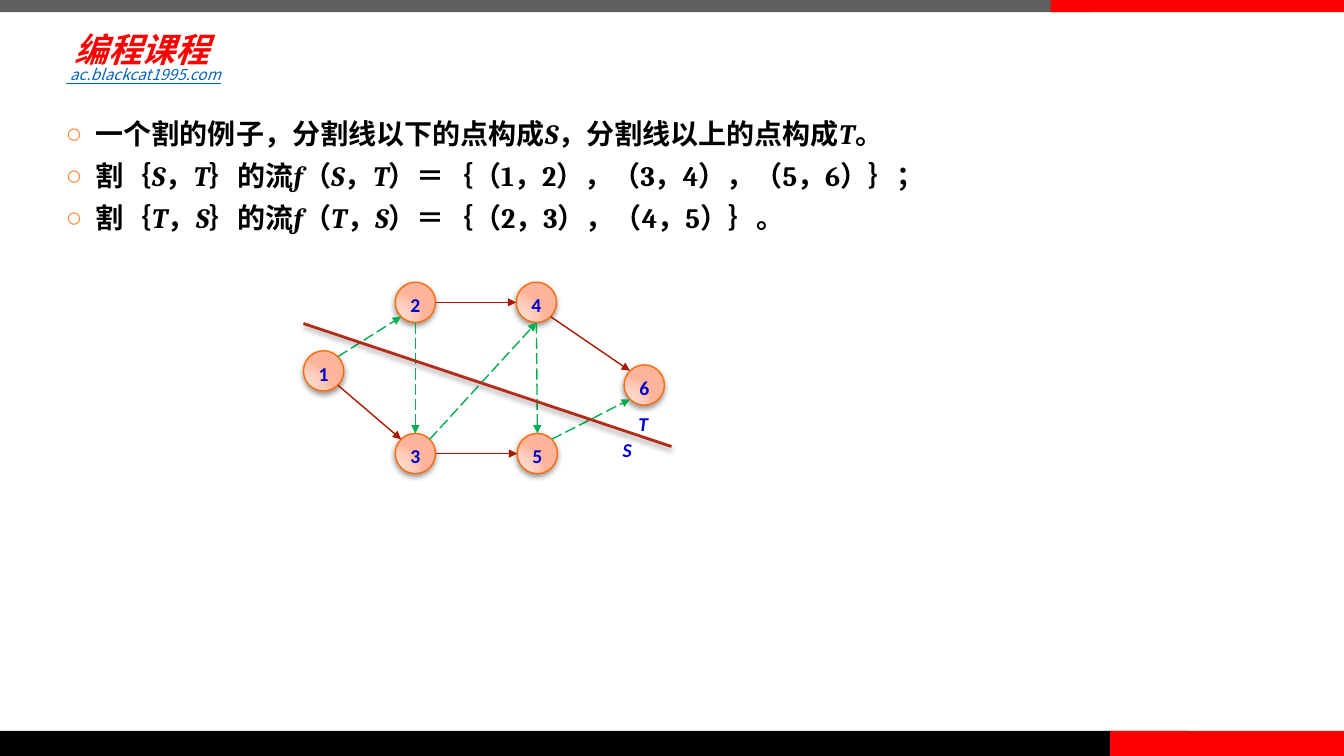
from lxml import etree
from pptx import Presentation, util as u
from pptx.dml.color import RGBColor
from pptx.enum import dml, shapes, text
from pptx.oxml import parse_xml
from pptx.oxml.ns import nsdecls, qn

COLORS = {
    "grey": "5E5E5E", "black": "000000", "red": "FF0000", "link": "0563C1",
    "bullet": "FE8637", "label": "0000CC", "node_line": "FF6B0A",
    "cut_edge": "00B050", "edge": "AC1800", "cut_line": "B32C16",
}
NODE_STOPS = [(0, "FFDED5"), (30, "FFDBD0"), (75, "FFC8B6"), (100, "FFB59B")]
CJK_FONT = "Noto Sans CJK SC"


def rgb(name):
    return RGBColor.from_string(COLORS[name])


def write(paragraph, content, *, size, font, color, bold=False, italic=False,
          underline=False):
    """Add one formatted run to a paragraph."""
    run = paragraph.add_run()
    run.text = content
    style = run.font
    style.size, style.name = u.Pt(size), font
    style.bold, style.italic, style.underline = bold, italic, underline
    style.color.rgb = rgb(color)
    east_asian = etree.SubElement(run._r.get_or_add_rPr(), qn("a:ea"))
    east_asian.set("typeface", CJK_FONT)


def set_effects(item, shadowed=False):
    """Give an element a soft downward shadow, or none at all."""
    shadow = ('<a:outerShdw blurRad="50800" dist="25400" dir="5400000">'
              '<a:srgbClr val="000000"><a:alpha val="40000"/></a:srgbClr>'
              '</a:outerShdw>') if shadowed else ""
    item._element.spPr.append(parse_xml(
        f'<a:effectLst {nsdecls("a")}>{shadow}</a:effectLst>'))


class CutSlide:
    def __init__(self, deck):
        self.slide = deck.slides.add_slide(deck.slide_layouts[1])
        heading = self.slide.shapes.title._element
        heading.getparent().remove(heading)

    def band(self, left, top, width, height, color):
        strip = self.slide.shapes.add_shape(
            shapes.MSO_SHAPE.RECTANGLE, *map(u.Inches, (left, top, width, height)))
        strip.shadow.inherit = False
        strip.fill.solid()
        strip.fill.fore_color.rgb = rgb(color)
        strip.line.fill.background()

    def label(self, content, left, top, width, height, *, inset=None,
              centered=False, middle=False, **style):
        frame = self.slide.shapes.add_textbox(
            *map(u.Inches, (left, top, width, height))).text_frame
        frame.word_wrap = True
        if inset is not None:
            frame.margin_left = frame.margin_right = u.Inches(inset)
            frame.margin_top = frame.margin_bottom = u.Inches(inset)
        if middle:
            frame.vertical_anchor = text.MSO_ANCHOR.MIDDLE
        if centered:
            frame.paragraphs[0].alignment = text.PP_ALIGN.CENTER
        write(frame.paragraphs[0], content, **style)

    def bullets(self, items, left, top, width, height):
        """Fill the body; the letters S, T and f are set in italics."""
        body = self.slide.placeholders[1]
        body.left, body.top, body.width, body.height = map(
            u.Inches, (left, top, width, height))
        frame = body.text_frame
        frame.auto_size = text.MSO_AUTO_SIZE.NONE
        frame.vertical_anchor = text.MSO_ANCHOR.TOP
        for index, parts in enumerate(items):
            paragraph = frame.add_paragraph() if index else frame.paragraphs[0]
            paragraph.space_before = u.Pt(6 if index else 0)
            props = paragraph._p.get_or_add_pPr()
            props.set("marL", str(u.Inches(0.3)))
            props.set("indent", str(-u.Inches(0.3)))
            color = etree.SubElement(props, qn("a:buClr"))
            etree.SubElement(color, qn("a:srgbClr")).set("val", COLORS["bullet"])
            etree.SubElement(props, qn("a:buChar")).set("char", "○")
            for part in parts.split("|"):
                write(paragraph, part, size=20, font="Cambria", color="black",
                      bold=True, italic=part in ("S", "T", "f"))

    def node(self, number, center_x, center_y, radius):
        circle = self.slide.shapes.add_shape(
            shapes.MSO_SHAPE.OVAL, u.Inches(center_x - radius),
            u.Inches(center_y - radius), u.Inches(2 * radius), u.Inches(2 * radius))
        stops = "".join(f'<a:gs pos="{pos * 1000}"><a:srgbClr val="{color}"/></a:gs>'
                        for pos, color in NODE_STOPS)
        circle._element.spPr.find(qn("a:prstGeom")).addnext(parse_xml(
            f'<a:gradFill {nsdecls("a")} rotWithShape="1"><a:gsLst>{stops}</a:gsLst>'
            '<a:path path="circle"><a:fillToRect l="5000" t="100000" r="120000" '
            'b="10000"/></a:path></a:gradFill>'))
        circle.line.color.rgb = rgb("node_line")
        circle.line.width = u.Pt(1)
        set_effects(circle, shadowed=True)
        frame = circle.text_frame
        frame.word_wrap = False
        frame.vertical_anchor = text.MSO_ANCHOR.TOP
        frame.paragraphs[0].alignment = text.PP_ALIGN.CENTER
        write(frame.paragraphs[0], str(number), size=14, font="Calibri",
              color="label", bold=True)

    def line(self, start, end, color, width=1, dashed=False, arrow=True,
             shadowed=False):
        link = self.slide.shapes.add_connector(
            shapes.MSO_CONNECTOR.STRAIGHT, *map(u.Inches, (*start, *end)))
        link.line.color.rgb = rgb(color)
        link.line.width = u.Pt(width)
        if dashed:
            link.line.dash_style = dml.MSO_LINE.LONG_DASH
        if arrow:
            tip = etree.SubElement(link.line._get_or_add_ln(), qn("a:tailEnd"))
            tip.set("type", "triangle")
        set_effects(link, shadowed)


# Graph: node centres, and edges as (from, side, to, side)
RADIUS = 0.2
NODES = {2: (4.12, 3), 4: (5.32, 3), 1: (3.21, 3.68),
         6: (6.39, 3.82), 3: (4.12, 4.5), 5: (5.33, 4.5)}
SIDES = {"N": (0, -1), "S": (0, 1), "E": (1, 0), "W": (-1, 0),
         "NE": (0.71, -0.71), "SE": (0.71, 0.71),
         "NW": (-0.71, -0.71), "SW": (-0.71, 0.71)}
CUT_EDGES = [(1, "NE", 2, "SW"), (2, "S", 3, "N"), (3, "NE", 4, "S"),
             (5, "NE", 6, "SW"), (4, "S", 5, "N")]
INNER_EDGES = [(1, "SE", 3, "NW"), (2, "E", 4, "W"),
               (3, "E", 5, "W"), (4, "SE", 6, "NW")]


def rim(node, side):
    return [center + RADIUS * step for center, step in zip(NODES[node], SIDES[side])]


def main():
    deck = Presentation()
    deck.slide_width, deck.slide_height = u.Inches(13.33), u.Inches(7.5)
    page = CutSlide(deck)

    # Top and bottom bands
    page.band(0, 0, 10.81, 0.12, "grey")
    page.band(0, 7.25, 11.8, 0.25, "black")
    page.band(11.01, 7.25, 2.32, 0.25, "red")
    page.band(10.42, 0, 2.91, 0.12, "red")

    # Course name and address
    page.label("编程课程", 0.68, 0.23, 1.85, 0.52, inset=0.06, middle=True,
               size=24, font="Arial", color="red", bold=True, italic=True)
    page.label(" ac.blackcat1995.com", 0.56, 0.6, 6.67, 0.29, size=11,
               font=CJK_FONT, color="link", italic=True, underline=True)

    # Explanation
    page.bullets([
        "一个割的例子，分割线以下的点构成|S|，分割线以上的点构成|T|。",
        "割｛|S|，|T|｝的流|f|（|S|，|T|）＝｛（1，2），（3，4），（5，6）｝；",
        "割｛|T|，|S|｝的流|f|（|T|，|S|）＝｛（2，3），（4，5）｝。",
    ], 0.55, 1.11, 11.56, 1.5)

    # Nodes and edges
    for number, center in NODES.items():
        page.node(number, *center, RADIUS)
    for edges, color, dashed in ((CUT_EDGES, "cut_edge", True),
                                 (INNER_EDGES, "edge", False)):
        for source, out_side, target, in_side in edges:
            page.line(rim(source, out_side), rim(target, in_side), color, dashed=dashed)

    # Cut line and the two sides
    page.line((3.01, 3.21), (6.66, 4.43), "cut_line", width=2, arrow=False,
              shadowed=True)
    for name, left, top in (("S", 6.13, 4.34), ("T", 6.29, 4.09)):
        page.label(name, left, top, 0.18, 0.27, inset=0, centered=True, size=14,
                   font="Calibri", color="label", bold=True, italic=True)

    deck.save("out.pptx")


if __name__ == "__main__":
    main()
